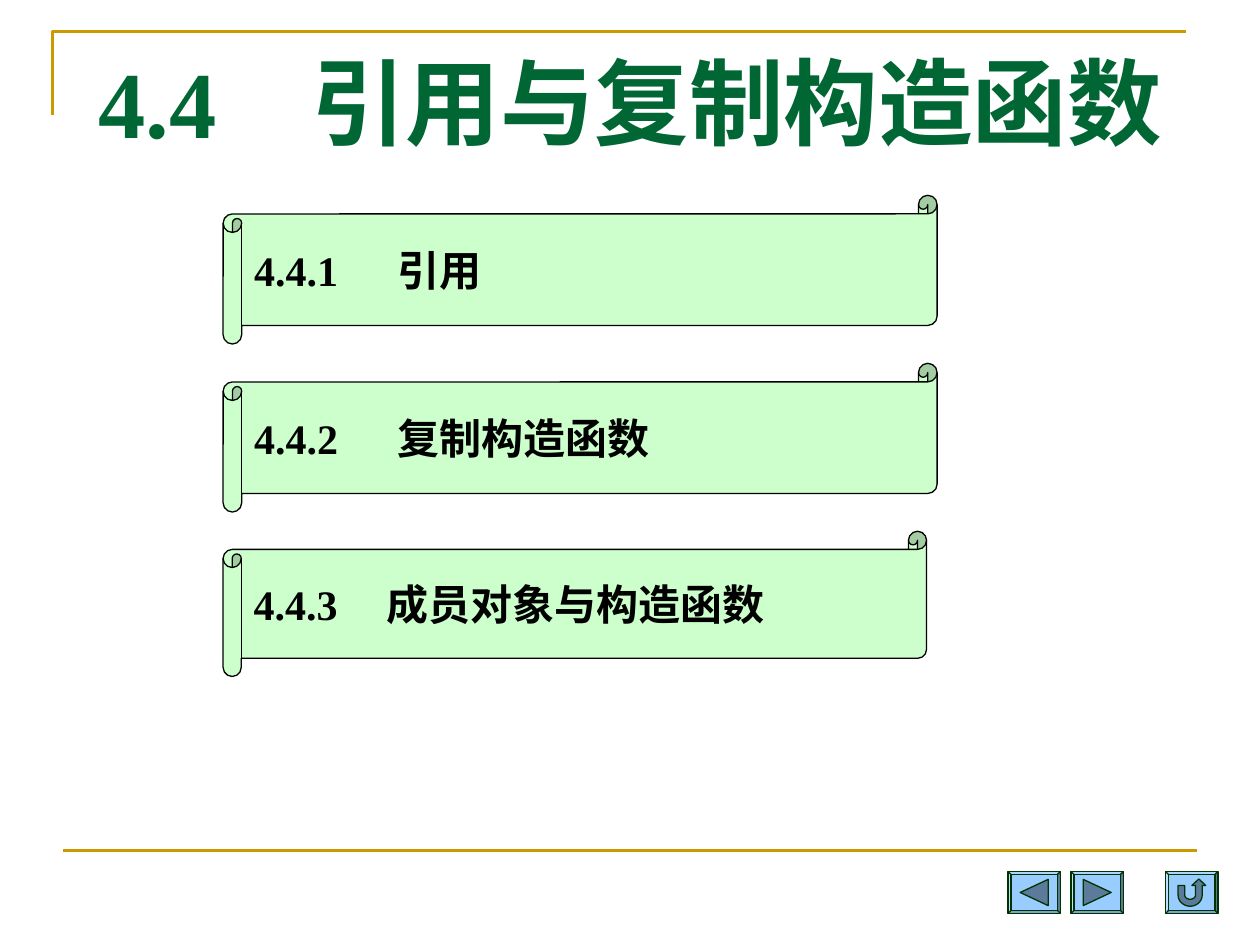
import math

import pptx
import pptx.dml.color
import pptx.enum.shapes
import pptx.enum.text
import pptx.oxml
import pptx.oxml.ns
import pptx.util

Pt = pptx.util.Pt
RGBColor = pptx.dml.color.RGBColor
SHAPE = pptx.enum.shapes.MSO_SHAPE
ALIGN = pptx.enum.text.PP_ALIGN
ANCHOR = pptx.enum.text.MSO_ANCHOR

GOLD = RGBColor(0xCC, 0x99, 0x00)
GREEN = RGBColor(0x00, 0x66, 0x33)
MINT = RGBColor(0xCC, 0xFF, 0xCC)
BLACK = RGBColor(0x00, 0x00, 0x00)
SKY = RGBColor(0x99, 0xCC, 0xFF)
STEEL = RGBColor(0x5C, 0x7A, 0x99)
DARK_GREEN = RGBColor(0x00, 0x33, 0x00)
FONT = "Times New Roman"


def set_attributes(obj, values):
    """Set each named attribute of an object."""
    for name, value in values.items():
        setattr(obj, name, value)


def style_shape(sp, fill, line, width):
    """Give a shape its fill and outline, without a shadow."""
    sp.shadow.inherit = False
    if fill is None:
        sp.fill.background()
    else:
        sp.fill.solid()
        sp.fill.fore_color.rgb = fill
    sp.line.color.rgb = line
    sp.line.width = Pt(width)


def add_run(p, text, size, color):
    """Add a bold run to a paragraph."""
    r = p.add_run()
    r.text = text
    set_attributes(r.font, {"name": FONT, "size": Pt(size), "bold": True})
    r.font.color.rgb = color


def add_outline(s, points, left, top, close):
    """Draw straight segments through points offset from a corner."""
    points = [(Pt(left + x), Pt(top + y)) for x, y in points]
    builder = s.shapes.build_freeform(*points[0])
    builder.add_line_segments(points[1:], close=close)
    return builder.convert_to_shape()


def add_frame(s, left, top, width, height):
    """Draw the corner rule at the top and the rule above the footer."""
    corner = add_outline(s, [(0, 48), (0, 0), (width, 0)], left, top, False)
    style_shape(corner, None, GOLD, 1.5)
    x, y = left + 6, top + height
    rule = s.shapes.add_connector(
        pptx.enum.shapes.MSO_CONNECTOR.STRAIGHT, Pt(x), Pt(y), Pt(x + width), Pt(y)
    )
    rule.line.color.rgb = GOLD
    rule.line.width = Pt(1.5)
    sp_pr = rule._element.spPr
    sp_pr.append(pptx.oxml.parse_xml(
        "<a:effectLst %s/>" % pptx.oxml.ns.nsdecls("a")))


def add_title(s, left, top, width, height):
    """Write the section heading."""
    tf = s.shapes.add_textbox(Pt(left), Pt(top), Pt(width), Pt(height)).text_frame
    tf.word_wrap = True
    p = tf.paragraphs[0]
    p.alignment = ALIGN.CENTER
    add_run(p, "4.4　引用与复制构造函数", 54, GREEN)


def add_scroll(s, left, top, width, height, number, topic, tab):
    """Draw a scroll with a section number and its topic at a tab stop."""
    sp = s.shapes.add_shape(
        SHAPE.HORIZONTAL_SCROLL, Pt(left), Pt(top), Pt(width), Pt(height))
    style_shape(sp, MINT, BLACK, 0.75)
    tf = sp.text_frame
    set_attributes(tf, {"word_wrap": False, "vertical_anchor": ANCHOR.MIDDLE})
    p = tf.paragraphs[0]
    p.alignment = ALIGN.LEFT
    p._p.get_or_add_pPr().append(pptx.oxml.parse_xml(
        '<a:tabLst %s><a:tab pos="%d" algn="l"/></a:tabLst>'
        % (pptx.oxml.ns.nsdecls("a"), Pt(tab))))
    add_run(p, f"{number}\t{topic}", 24, BLACK)


def add_contents(s, left, top, width, height):
    """Stack the section scrolls at an equal pitch."""
    pitch = 96
    rows = [
        ("4.4.1", "引用", 82, 0, 0),
        ("4.4.2", "复制构造函数", 82, 0, 0),
        ("4.4.3", "成员对象与构造函数", 76, 6, 2),
    ]
    for i, (number, topic, tab, narrower, lower) in enumerate(rows):
        add_scroll(s, left, top + i * pitch, width - narrower,
                   height - 2 * pitch - lower, number, topic, tab)


def half_ellipse(rx, ry, start, end):
    """Return points along the lower arc of the return arrow."""
    steps = 16
    angles = [math.radians(start + (end - start) * i / steps) for i in range(steps + 1)]
    return [(14.1 + rx * math.cos(a), 13.5 + ry * math.sin(a)) for a in angles]


def add_button(s, left, top, width, height, icon):
    """Draw a bevelled button with an icon."""
    sp = s.shapes.add_shape(SHAPE.BEVEL, Pt(left), Pt(top), Pt(width), Pt(height))
    sp.adjustments[0] = 0.07
    style_shape(sp, SKY, DARK_GREEN, 0.75)
    style_shape(add_outline(s, icon, left, top, True), STEEL, DARK_GREEN, 0.75)


def add_navigation(s, left, top, width, height):
    """Place the back, forward and return buttons."""
    back = [(7, 12), (23, 4.5), (23, 19.5)]
    forward = [(width - x, y) for x, y in back]
    back_up = [(7.2, 8), (11, 8), *half_ellipse(3.1, 2.4, 180, 0),
               (17.2, 8), (15.1, 8), (19.1, 4.3), (23, 8), (21, 8),
               *half_ellipse(6.9, 6.4, 0, 180)]
    for offset, icon in ((0, back), (36, forward), (90, back_up)):
        add_button(s, left + offset, top, width, height, icon)


def main():
    """Build and save the slide."""
    prs = pptx.Presentation()
    set_attributes(prs, {"slide_width": Pt(720), "slide_height": Pt(540)})
    s = prs.slides.add_slide(prs.slide_layouts[6])
    add_frame(s, 30, 18, 648, 468)
    add_title(s, 36, 21.6, 648, 90)
    add_contents(s, 127.5, 111.6, 408, 277)
    add_navigation(s, 576, 498, 30, 24)
    prs.save("out.pptx")


if __name__ == "__main__":
    main()
